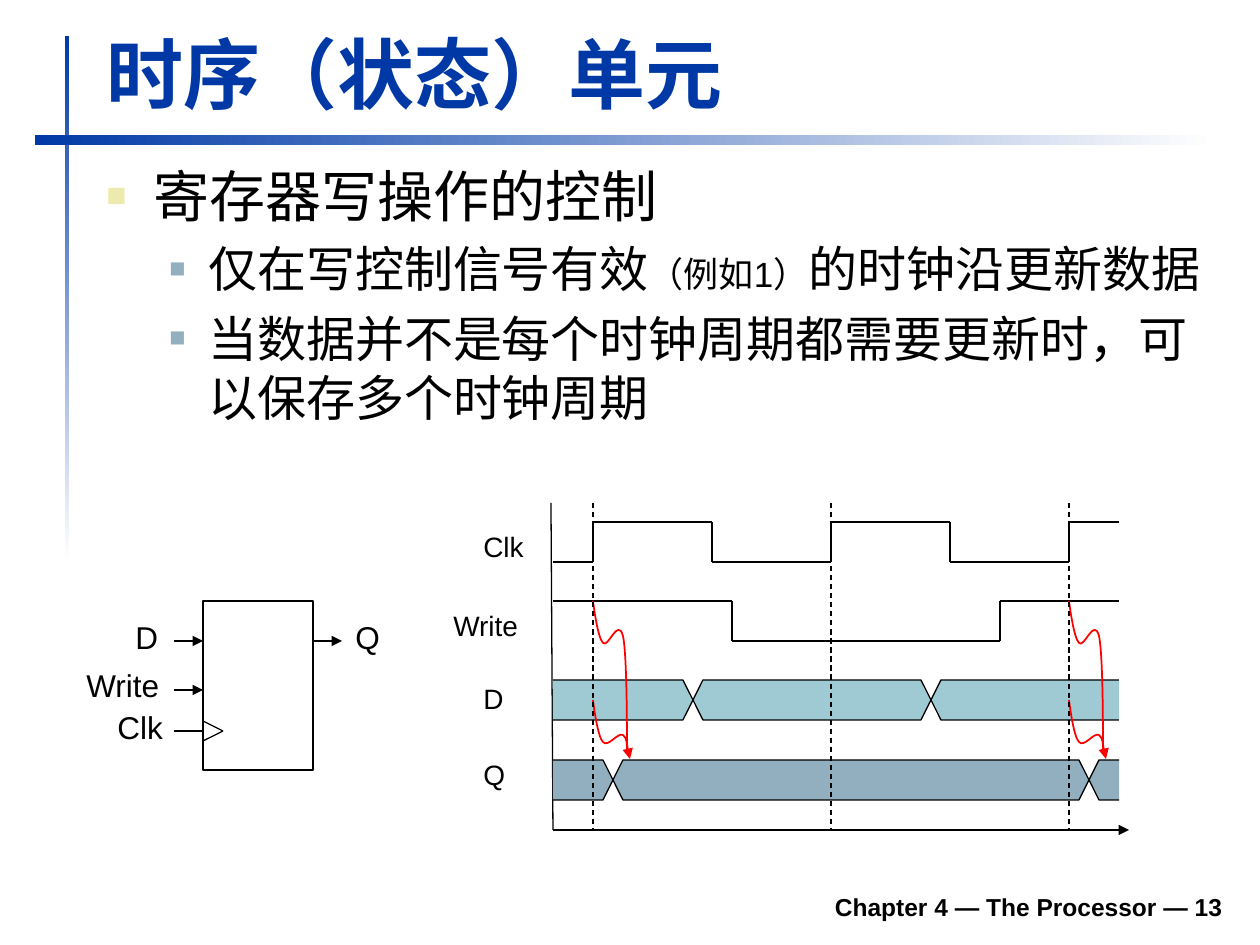
import itertools

import lxml.etree
import pptx
import pptx.dml.color
import pptx.enum.dml
import pptx.enum.lang
import pptx.enum.shapes
import pptx.enum.text
import pptx.oxml.ns
import pptx.util

PX = 914400 / 126
COLORS = {
    "title": "0039A6", "black": "000000", "white": "FFFFFF", "red": "FF0000",
    "bullet": "ECEAAC", "steel": "91AFBF", "aqua": "9FCAD3",
}
qn = pptx.oxml.ns.qn
LEFT, RIGHT = 553, 1119          # extent of the timing signals
CLOCK_EDGES = (593, 831, 1069)   # rising edges
TOP, BOTTOM = 503, 830           # extent of the time axes
SWING = 40                       # height of every signal


def emu(px):
    return pptx.util.Emu(round(px * PX))


def rgb(name):
    return pptx.dml.color.RGBColor.from_string(COLORS[name])


def style_line(shape, color, width, arrow=False, dashed=False):
    shape.line.color.rgb = rgb(color)
    shape.line.width = pptx.util.Pt(width)
    if dashed:
        shape.line.dash_style = pptx.enum.dml.MSO_LINE.DASH
    if arrow:
        outline = shape.element.spPr.find(qn("a:ln"))
        lxml.etree.SubElement(outline, qn("a:tailEnd"), type="triangle")


def add_line(shapes, start, end, width=0.75, arrow=False, dashed=False):
    line = shapes.add_connector(pptx.enum.shapes.MSO_CONNECTOR.STRAIGHT,
                                *map(emu, start + end))
    style_line(line, "black", width, arrow, dashed)
    lxml.etree.SubElement(line.element.spPr, qn("a:effectLst"))


def add_polyline(shapes, points, width=0.75):
    for start, end in itertools.pairwise(points):
        add_line(shapes, start, end, width)


def add_rectangle(shapes, bounds):
    box = shapes.add_shape(pptx.enum.shapes.MSO_SHAPE.RECTANGLE, *map(emu, bounds))
    box.shadow.inherit = False
    return box


def add_gradient_bar(page, bounds, angle):
    bar = add_rectangle(page.shapes, bounds)
    bar.line.fill.background()
    bar.fill.gradient()
    bar.fill.gradient_angle = angle
    for stop, color in zip(bar.fill.gradient_stops, ("title", "white")):
        stop.color.rgb = rgb(color)


def add_outline(shapes, points, close):
    builder = shapes.build_freeform(*map(emu, points[0]))
    builder.add_line_segments([tuple(map(emu, point)) for point in points[1:]], close=close)
    outline = builder.convert_to_shape()
    outline.shadow.inherit = False
    return outline


def add_span(para, text, size, color="black", bold=False, chinese=False):
    span = para.add_run()
    span.text = text
    span.font.name = "Arial"
    span.font.size = pptx.util.Pt(size)
    span.font.bold = bold
    span.font.color.rgb = rgb(color)
    if chinese:
        span.font.language_id = pptx.enum.lang.MSO_LANGUAGE_ID.SIMPLIFIED_CHINESE


def add_text_box(shapes, bounds, wrap=True, bottom=False):
    box = shapes.add_textbox(*map(emu, bounds))
    frame = box.text_frame
    frame.word_wrap = wrap
    if bottom:
        frame.vertical_anchor = pptx.enum.text.MSO_ANCHOR.BOTTOM
    return frame


def add_label(shapes, text, bounds, size):
    frame = add_text_box(shapes, bounds, wrap=False)
    frame.auto_size = pptx.enum.text.MSO_AUTO_SIZE.SHAPE_TO_FIT_TEXT
    add_span(frame.paragraphs[0], text, size)


def add_bullet(para, color, percent, margin, hanging, level):
    para.level = level
    properties = para._p.get_or_add_pPr()
    properties.set("marL", str(emu(margin)))
    properties.set("indent", str(-emu(hanging)))
    holder = lxml.etree.SubElement(properties, qn("a:buClr"))
    lxml.etree.SubElement(holder, qn("a:srgbClr"), val=COLORS[color])
    lxml.etree.SubElement(properties, qn("a:buSzPct"), val=str(percent * 1000))
    lxml.etree.SubElement(properties, qn("a:buFont"), typeface="Arial")
    lxml.etree.SubElement(properties, qn("a:buChar"), char="■")


def add_body(page):
    frame = add_text_box(page.shapes, (94, 155, 1141, 317))
    items = [
        (0, [("寄存器写操作的控制", 32)]),
        (1, [("仅在写控制信号有效", 28), ("（例如1）", 20), ("的时钟沿更新数据", 28)]),
        (1, [("当数据并不是每个时钟周期都需要更新时，可以保存多个时钟周期", 28)]),
    ]
    bullets = (("bullet", 60, 47, 47), ("steel", 55, 102, 39))
    for index, (level, spans) in enumerate(items):
        para = frame.add_paragraph() if index else frame.paragraphs[0]
        if index:
            para.space_before = pptx.util.Pt(6)
        add_bullet(para, *bullets[level], level)
        for text, size in spans:
            add_span(para, text, size, chinese=True)


def add_register(page):
    shapes = page.shapes.add_group_shape().shapes
    box = add_rectangle(shapes, (203, 601, 110, 169))
    box.fill.background()
    style_line(box, "black", 1.5)
    for left, right, y, arrow in ((174, 203, 641, True), (313, 342, 641, True),
                                  (174, 203, 690, True), (174, 203, 731, False)):
        add_line(shapes, (left, y), (right, y), 1 if arrow else 0.75, arrow)
    add_polyline(shapes, [(203, 721), (223, 731), (203, 741)])  # clock input mark
    for text, left, top, width in (("D", 123, 612, 48), ("Q", 343, 612, 50),
                                   ("Write", 74, 660, 98), ("Clk", 105, 702, 71)):
        add_label(shapes, text, (left, top, width, 50), 18)


def add_data_band(shapes, top, crossings, color):
    """Draw a data signal whose value changes at each crossing."""
    slant, middle, bottom = 10, top + SWING // 2, top + SWING
    for start, end in itertools.pairwise([LEFT, *crossings, RIGHT]):
        opens, ends = start == LEFT, end == RIGHT
        left = start if opens else start + slant
        right = end if ends else end - slant
        points = [(left, bottom)] + ([] if opens else [(start, middle)]) + [(left, top)]
        tip = [] if ends else [(end, middle)]
        if opens:
            points = [(left, top), (right, top), *tip, (right, bottom), (left, bottom)]
        elif ends:
            points = [(right, top), *points[::-1], (right, bottom)]
        else:
            points += [(right, top), *tip, (right, bottom)]
        band = add_outline(shapes, points, close=not (opens or ends))
        band.fill.solid()
        band.fill.fore_color.rgb = rgb(color)
        style_line(band, "black", 0.75)


def add_curve(shapes, start, offsets, arrow=False):
    """Draw cubic curves; every three offsets are two controls and an end."""
    x, y = start
    curve = add_outline(shapes, [start] + [(x + dx, y + dy) for dx, dy in offsets], close=False)
    segments = list(curve.element.iter(qn("a:lnTo")))
    for first, second, third in zip(*[iter(segments)] * 3):
        first.tag = qn("a:cubicBezTo")
        for segment in (second, third):
            first.append(segment[0])
            segment.getparent().remove(segment)
    curve.fill.background()
    style_line(curve, "red", 1, arrow)


def add_timing(page):
    shapes = page.shapes.add_group_shape().shapes
    # Axes and signal names
    add_line(shapes, (LEFT, BOTTOM), (1129, BOTTOM), arrow=True)
    add_line(shapes, (LEFT, BOTTOM), (551, TOP))
    for text, left, top, width in (("Clk", 471, 523, 66), ("Write", 441, 602, 91),
                                   ("D", 471, 675, 45), ("Q", 471, 751, 48)):
        add_label(shapes, text, (left, top, width, 47), 16)
    # Clock and write signals
    high, low = 522, 522 + SWING
    clock = [(LEFT, low)]
    for edge in CLOCK_EDGES:
        clock += [(edge, low), (edge, high)]
        if edge != CLOCK_EDGES[-1]:
            clock += [(edge + 119, high), (edge + 119, low)]
    add_polyline(shapes, clock + [(RIGHT, high)], 1.5)
    high, low = 601, 601 + SWING
    add_polyline(shapes, [(LEFT, high), (732, high), (732, low), (1000, low),
                          (1000, high), (RIGHT, high)], 1.5)
    # Data signals
    add_data_band(shapes, 680, (693, 931), "aqua")
    add_data_band(shapes, 760, (613, 1089), "steel")
    # Cause and effect at the writing edges
    dip = [(1, 8), (5, 37), (10, 42)]
    for edge in CLOCK_EDGES[::2]:
        add_curve(shapes, (edge, 700), dip + [(15, 48), (25, 32), (30, 35),
                                              (34, 38), (35, 54), (37, 59)], arrow=True)
        add_curve(shapes, (edge, 601), dip + [(15, 48), (25, 16), (30, 35),
                                              (34, 53), (34, 127), (34, 151)])
    for edge in CLOCK_EDGES:
        add_line(shapes, (edge, TOP), (edge, BOTTOM), dashed=True)


def main():
    deck = pptx.Presentation()
    deck.slide_width, deck.slide_height = emu(1260), emu(945)
    page = deck.slides.add_slide(deck.slide_layouts[6])
    add_gradient_bar(page, (65, 36, 4, 525), 270)
    add_gradient_bar(page, (35, 135, 1180, 10), 0)
    # Footer and title
    footer = add_text_box(page.shapes, (233, 879, 1002, 49), bottom=True).paragraphs[0]
    footer.alignment = pptx.enum.text.PP_ALIGN.RIGHT
    add_span(footer, "Chapter 4 — The Processor — 13", 14, bold=True)
    title = add_text_box(page.shapes, (94, 20, 1138, 105), bottom=True).paragraphs[0]
    add_span(title, "时序（状态）单元", 44, "title", bold=True, chinese=True)
    add_body(page)
    add_register(page)
    add_timing(page)
    deck.save("out.pptx")


if __name__ == "__main__":
    main()
